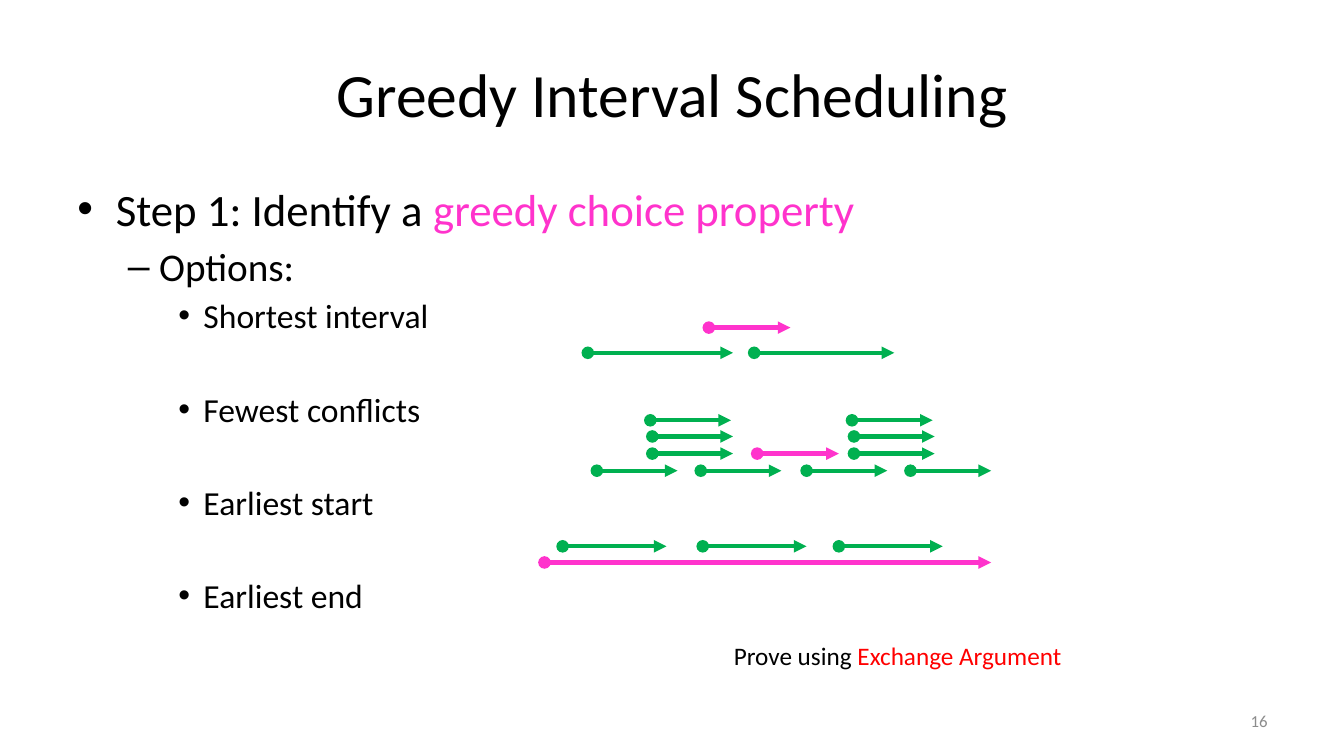
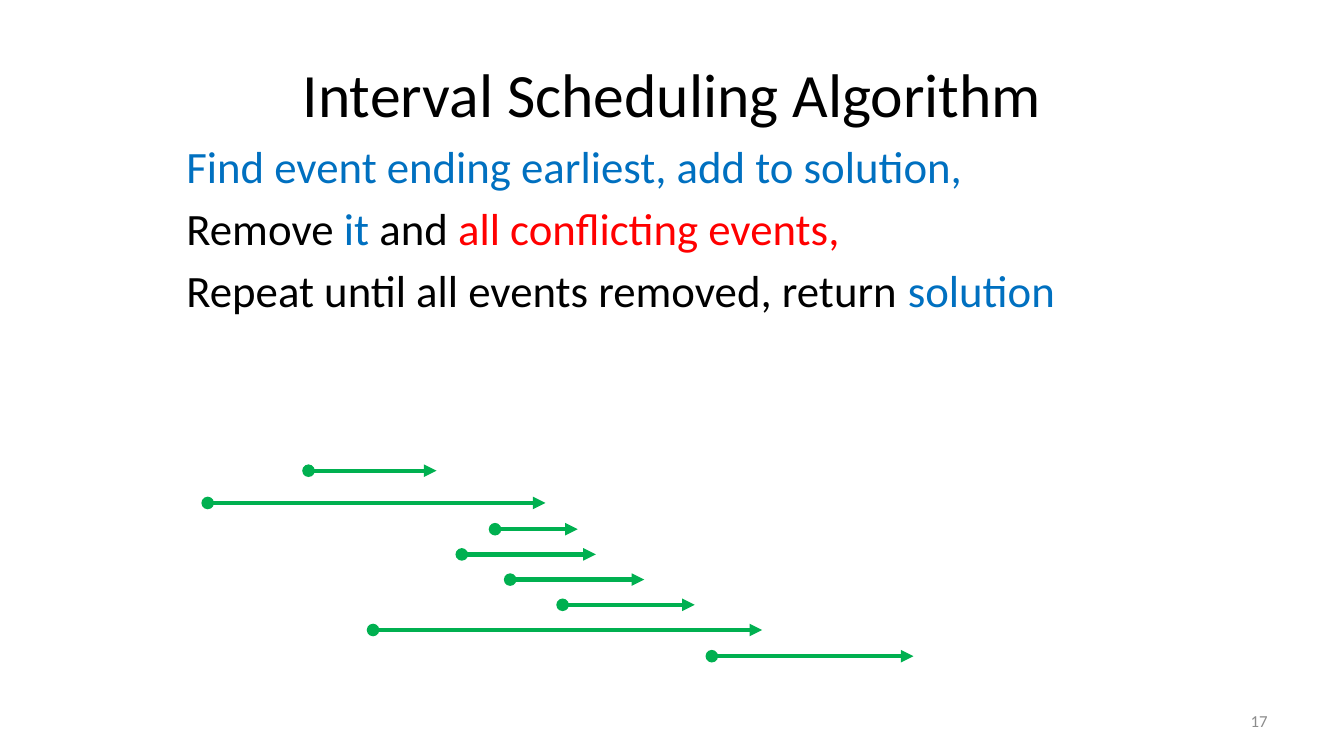
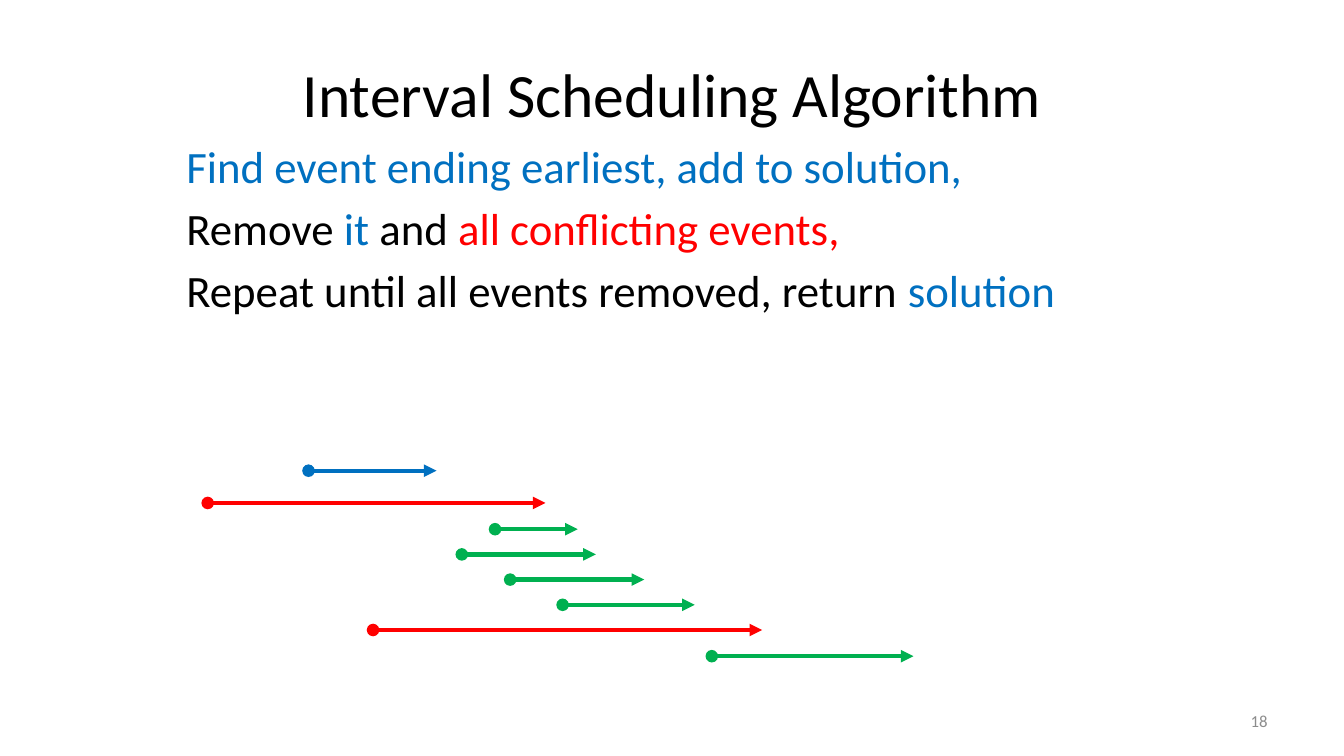
from pptx import Presentation
from pptx import util as u
from pptx.dml.color import RGBColor
from pptx.enum import shapes, text
from pptx.oxml.ns import qn
from lxml import etree

PX = 9144
FONT = "Calibri"
BLACK = RGBColor(0x00, 0x00, 0x00)
GRAY = RGBColor(0x8C, 0x8C, 0x8C)
GREEN = RGBColor(0x00, 0xB0, 0x50)
PINK = RGBColor(0xFF, 0x33, 0xCC)
RED = RGBColor(0xFF, 0x00, 0x00)
BLUE = RGBColor(0x00, 0x70, 0xC0)

TITLE_BOX = (67, 30, 1200, 125)
NUMBER_BOX = (956, 695, 311, 40)
LINE_GAP = 0.178
OPTION_GAP = 37.8

LEVELS = [
    {"size": 32, "left": 38, "hang": 38, "bullet": "•"},
    {"size": 28, "left": 81, "hang": 31, "bullet": "–"},
    {"size": 24, "left": 125, "hang": 25, "bullet": "•"},
]

STEPS = [
    [("Find event ending earliest, add to solution,", BLUE)],
    [("Remove ", BLACK), ("it", BLUE), (" and", BLACK), (" all conflicting events,", RED)],
    [("Repeat until all events removed, return ", BLACK), ("solution", BLUE)],
]

EVENTS = [
    (100, 227, 0),
    (0, 335, 32),
    (285, 367, 58),
    (252, 385, 83),
    (300, 433, 108),
    (352, 483, 133),
    (164, 550, 158),
    (500, 700, 184),
]


def px(n):
    return u.Emu(n * PX)


def add_frame(s, box, anchor=text.MSO_ANCHOR.TOP, wrap=True):
    tf = s.shapes.add_textbox(*map(px, box)).text_frame
    tf.word_wrap = wrap
    tf.vertical_anchor = anchor
    return tf


def add_text(tf, runs, size, align=text.PP_ALIGN.LEFT, gap=0, left=0, hang=0, bullet=None):
    first = tf.paragraphs[0]
    p = tf.add_paragraph() if first.runs else first
    p.alignment = align
    p.space_before = u.Pt(gap)
    for content, color in runs:
        r = p.add_run()
        r.text = content
        r.font.name = FONT
        r.font.size = u.Pt(size)
        r.font.color.rgb = color
    if bullet:
        pPr = p._p.get_or_add_pPr()
        pPr.set("marL", str(px(left)))
        pPr.set("indent", str(px(-hang)))
        etree.SubElement(pPr, qn("a:buFont")).set("typeface", "Arial")
        etree.SubElement(pPr, qn("a:buChar")).set("char", bullet)


def add_interval(s, box, start, end, y, color=GREEN):
    left, top = box
    c = s.shapes.add_connector(
        shapes.MSO_CONNECTOR.STRAIGHT,
        px(left + start), px(top + y), px(left + end), px(top + y))
    c.line.color.rgb = color
    c.line.width = u.Pt(3)
    ln = c.line._get_or_add_ln()
    etree.SubElement(ln, qn("a:headEnd")).set("type", "oval")
    etree.SubElement(ln, qn("a:tailEnd")).set("type", "triangle")
    etree.SubElement(c._element.spPr, qn("a:effectLst"))


def add_slide(prs, title, number):
    s = prs.slides.add_slide(prs.slide_layouts[6])
    middle = text.MSO_ANCHOR.MIDDLE
    add_text(add_frame(s, TITLE_BOX, middle), [(title, BLACK)], 44, text.PP_ALIGN.CENTER)
    add_text(add_frame(s, NUMBER_BOX, middle), [(str(number), GRAY)], 12, text.PP_ALIGN.RIGHT)
    return s


def options_list(s, box):
    tf = add_frame(s, box)
    step = [("Step 1: Identify a ", BLACK), ("greedy choice property", PINK)]
    heads = [step, [("Options:", BLACK)], [("Shortest interval", BLACK)]]
    for runs, level in zip(heads, LEVELS):
        add_text(tf, runs, gap=level["size"] * LINE_GAP, **level)
    for option in ("Fewest conflicts", "Earliest start", "Earliest end"):
        add_text(tf, [(option, BLACK)], gap=OPTION_GAP, **LEVELS[2])


def shortest_diagram(s, box):
    add_interval(s, box, 0, 144, 25)
    add_interval(s, box, 120, 201, 0, PINK)
    add_interval(s, box, 165, 304, 25)


def conflicts_diagram(s, box):
    length = 80
    for start in (0, 103, 208, 311):
        add_interval(s, box, start, start + length, 50)
    for stack in (53, 253):
        for shift, y in ((0, 0), (2, 16), (2, 33)):
            add_interval(s, box, stack + shift, stack + shift + length, y)
    add_interval(s, box, 159, 240, 33, PINK)


def earliest_start_diagram(s, box):
    for start in (18, 157, 292):
        add_interval(s, box, start, start + 103, 0)
    add_interval(s, box, 0, 443, 16, PINK)


def greedy_slide(prs, number):
    s = add_slide(prs, "Greedy Interval Scheduling", number)
    options_list(s, (67, 175, 1200, 495))
    shortest_diagram(s, (583, 325))
    conflicts_diagram(s, (592, 417))
    earliest_start_diagram(s, (540, 542))
    note = add_frame(s, (718, 630, 349, 40), wrap=False)
    add_text(note, [("Prove using ", BLACK), ("Exchange Argument", RED)], 18)


def algorithm_slide(prs, number, marks):
    s = add_slide(prs, "Interval Scheduling Algorithm", number)
    tf = add_frame(s, (175, 133, 989, 192))
    for runs in STEPS:
        add_text(tf, runs, 32, gap=32 * LINE_GAP)
    for i, event in enumerate(EVENTS):
        add_interval(s, (206, 467), *event, color=marks.get(i, GREEN))


def main():
    prs = Presentation()
    prs.slide_width, prs.slide_height = px(1333), px(750)
    greedy_slide(prs, 16)
    algorithm_slide(prs, 17, {})
    algorithm_slide(prs, 18, {0: BLUE, 1: RED, 6: RED})
    prs.save("out.pptx")


if __name__ == "__main__":
    main()
